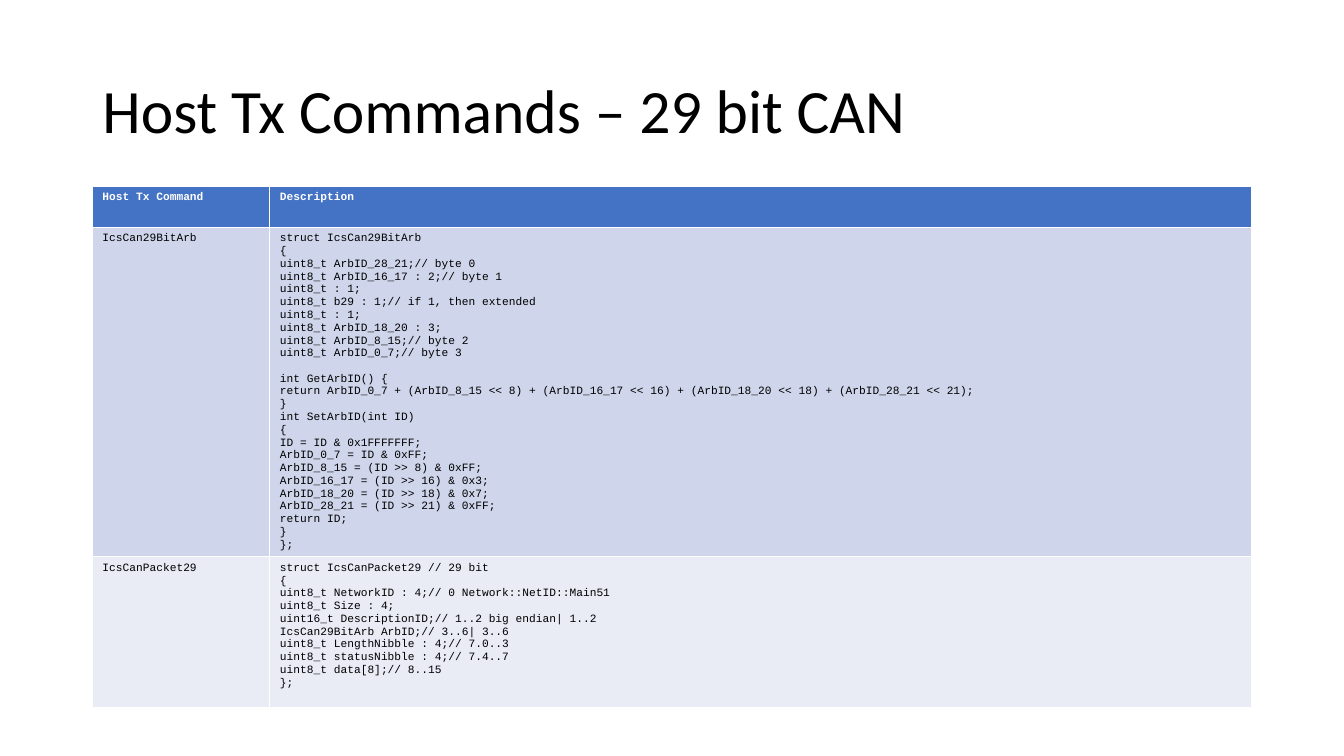
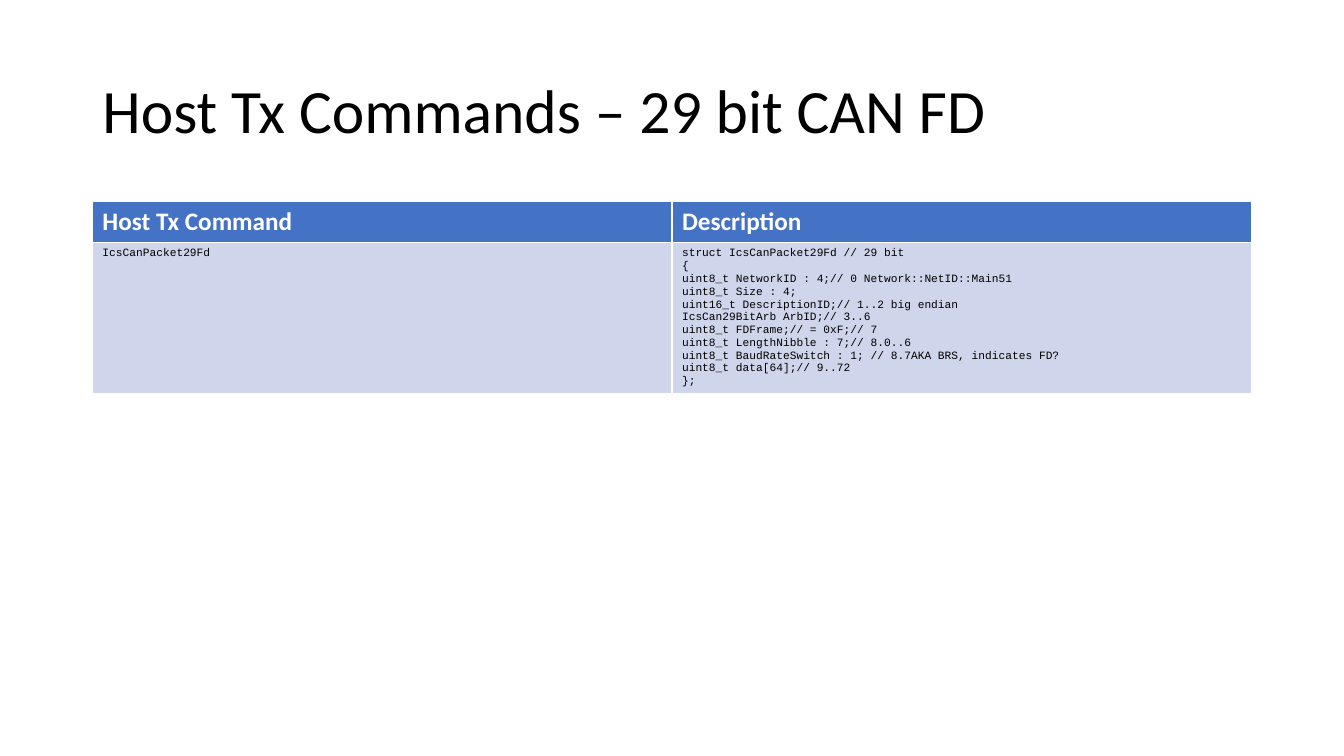
"""Build two slides that list the host Tx commands for 29 bit CAN and CAN FD."""
from pptx import Presentation
from pptx.dml.color import RGBColor
from pptx.enum.text import MSO_ANCHOR, MSO_AUTO_SIZE, PP_ALIGN
from pptx.util import Pt

COLORS = {
    "title": "000000",
    "header": "4472C4",
    "header_text": "FFFFFF",
    "code": "000000",
    "odd_row": "CFD5EA",
    "even_row": "E9EBF5",
}
BODY_FONT, CODE_FONT = "Calibri", "Courier New"
CODE_SIZE, CODE_GAP = 8, 9
LEFT, WIDTH = 66, 828
HEADER_HEIGHT = 29.2
HEADINGS = ("Host Tx Command", "Description")

ARB_STRUCT = """struct IcsCan29BitArb
{
uint8_t ArbID_28_21;// byte 0
uint8_t ArbID_16_17 : 2;// byte 1
uint8_t : 1;
uint8_t b29 : 1;// if 1, then extended
uint8_t : 1;
uint8_t ArbID_18_20 : 3;
uint8_t ArbID_8_15;// byte 2
uint8_t ArbID_0_7;// byte 3

int GetArbID() {
return ArbID_0_7 + (ArbID_8_15 << 8) + (ArbID_16_17 << 16) + (ArbID_18_20 << 18) + (ArbID_28_21 << 21);
}
int SetArbID(int ID)
{
ID = ID & 0x1FFFFFFF;
ArbID_0_7 = ID & 0xFF;
ArbID_8_15 = (ID >> 8) & 0xFF;
ArbID_16_17 = (ID >> 16) & 0x3;
ArbID_18_20 = (ID >> 18) & 0x7;
ArbID_28_21 = (ID >> 21) & 0xFF;
return ID;
}
};"""

PACKET_STRUCT = """struct IcsCanPacket29 // 29 bit
{
uint8_t NetworkID : 4;// 0 Network::NetID::Main51
uint8_t Size : 4;
uint16_t DescriptionID;// 1..2 big endian| 1..2
IcsCan29BitArb ArbID;// 3..6| 3..6
uint8_t LengthNibble : 4;// 7.0..3
uint8_t statusNibble : 4;// 7.4..7
uint8_t data[8];// 8..15
};"""

FD_PACKET_STRUCT = """struct IcsCanPacket29Fd // 29 bit
{
uint8_t NetworkID : 4;// 0 Network::NetID::Main51
uint8_t Size : 4;
uint16_t DescriptionID;// 1..2 big endian
IcsCan29BitArb ArbID;// 3..6
uint8_t FDFrame;// = 0xF;// 7
uint8_t LengthNibble : 7;// 8.0..6
uint8_t BaudRateSwitch : 1; // 8.7AKA BRS, indicates FD?
uint8_t data[64];// 9..72
};"""

PAGES = [
    {
        "title": "Host Tx Commands – 29 bit CAN",
        "top": 133.2,
        "name_width": 126.8,
        "heading_font": (CODE_FONT, CODE_SIZE),
        "commands": [
            ("IcsCan29BitArb", ARB_STRUCT, 235),
            ("IcsCanPacket29", PACKET_STRUCT, 108),
        ],
    },
    {
        "title": "Host Tx Commands – 29 bit CAN FD",
        "top": 144,
        "name_width": WIDTH / 2,
        "heading_font": (BODY_FONT, 18),
        "commands": [("IcsCanPacket29Fd", FD_PACKET_STRUCT, 107)],
    },
]


def add_run(paragraph, text, font, size, color, bold=False):
    run = paragraph.add_run()
    run.text = text
    run.font.name = font
    run.font.size = Pt(size)
    run.font.bold = bold
    run.font.color.rgb = RGBColor.from_string(COLORS[color])


def fill_cell(cell, text, font, size, color, fill, bold=False):
    cell.fill.solid()
    cell.fill.fore_color.rgb = RGBColor.from_string(COLORS[fill])
    frame = cell.text_frame
    paragraph = frame.paragraphs[0]
    for block_no, block in enumerate(text.split("\n\n")):
        for line_no, line in enumerate(block.split("\n")):
            if block_no or line_no:
                paragraph = frame.add_paragraph()
            if block_no and not line_no:
                paragraph.space_before = Pt(CODE_GAP)
            add_run(paragraph, line, font, size, color, bold)


deck = Presentation()
deck.slide_width, deck.slide_height = Pt(960), Pt(540)
title_only = deck.slide_layouts[5]

for page in PAGES:
    slide = deck.slides.add_slide(title_only)

    title = slide.shapes.title
    title.left, title.top, title.width, title.height = Pt(LEFT), Pt(28.8), Pt(WIDTH), Pt(104.4)
    title.text_frame.auto_size = MSO_AUTO_SIZE.NONE
    title.text_frame.vertical_anchor = MSO_ANCHOR.MIDDLE
    heading = title.text_frame.paragraphs[0]
    heading.alignment = PP_ALIGN.LEFT
    heading.line_spacing = 0.9
    add_run(heading, page["title"], BODY_FONT, 44, "title")

    commands = page["commands"]
    heights = [HEADER_HEIGHT] + [height for _, _, height in commands]
    table = slide.shapes.add_table(
        len(heights), 2, Pt(LEFT), Pt(page["top"]), Pt(WIDTH), Pt(sum(heights))
    ).table
    table.columns[0].width = Pt(page["name_width"])
    table.columns[1].width = Pt(WIDTH - page["name_width"])
    for row, height in zip(table.rows, heights):
        row.height = Pt(height)

    for column, label in enumerate(HEADINGS):
        fill_cell(table.cell(0, column), label, *page["heading_font"],
                  "header_text", "header", bold=True)
    for row_no, (name, code, _) in enumerate(commands, start=1):
        band = "odd_row" if row_no % 2 else "even_row"
        for column, text in enumerate((name, code)):
            fill_cell(table.cell(row_no, column), text, CODE_FONT, CODE_SIZE, "code", band)

deck.save("out.pptx")
